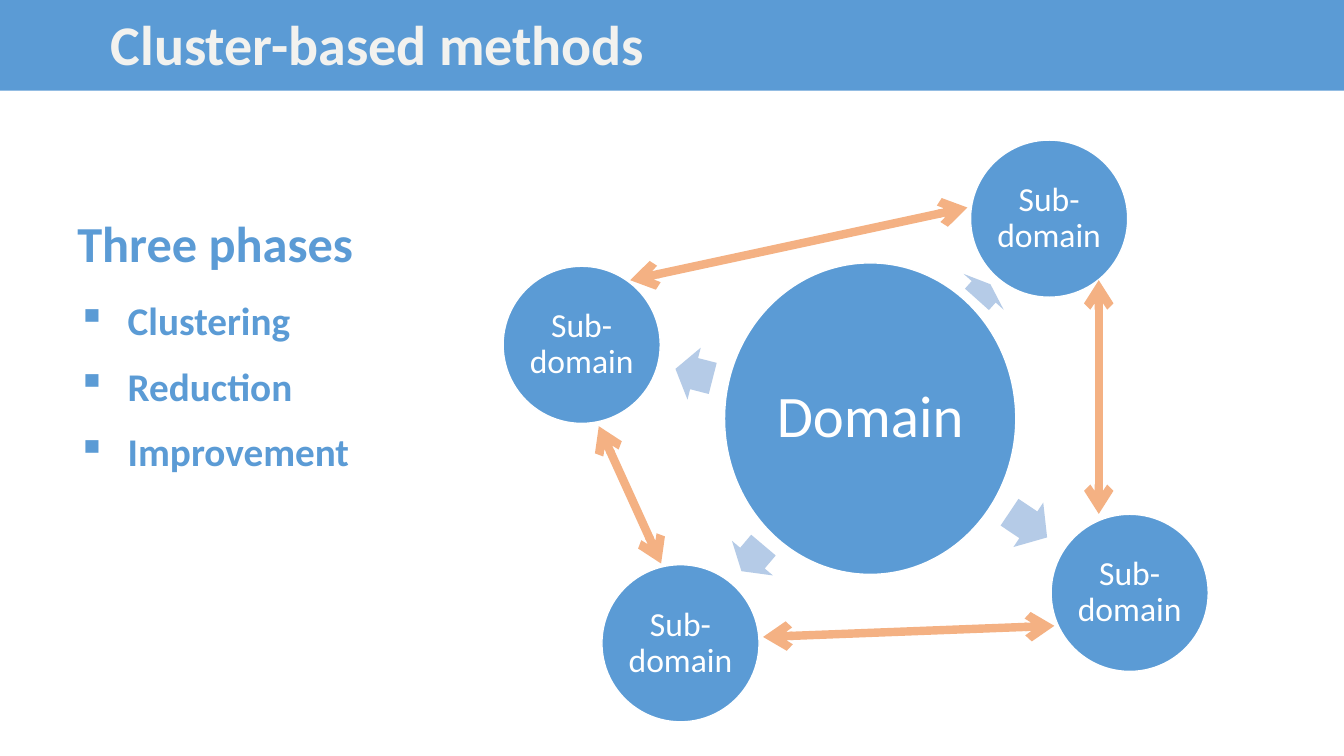
from math import atan2, cos, degrees, sin

from lxml.etree import SubElement
from pptx import Presentation
from pptx.dml.color import RGBColor
from pptx.enum.shapes import MSO_CONNECTOR as Line, MSO_SHAPE as Shape
from pptx.enum.text import MSO_ANCHOR as Anchor, PP_ALIGN as Align
from pptx.oxml.ns import qn
from pptx.util import Cm, Pt

# Content, lengths in centimetres
TITLE = "Cluster-based methods"
HEADING = "Three phases"
PHASES = ["Clustering", "Reduction", "Improvement"]
DOMAIN = {"text": "Domain", "center": (21.93, 10.55), "size": (7.34, 7.85)}
SUBDOMAIN_TEXT = "Sub-domain"
SUBDOMAIN_SIZE = (3.96, 3.96)
# Sub-domain centre, then its pointer's distance from the domain centre and length
SUBDOMAINS = [
    ((26.44, 5.51), 4.29, 0.51),
    ((28.47, 14.94), 4.80, 1.14),
    ((17.15, 16.21), 4.60, 0.86),
    ((14.66, 8.69), 4.58, 0.97),
]
POINTER_WIDTH = 1.35
EXCHANGES = [
    ((15.88, 7.06), (24.38, 5.23)),
    ((15.09, 10.74), (16.66, 14.20)),
    ((27.69, 7.06), (27.69, 12.95)),
    ((19.23, 16.05), (26.57, 15.77)),
]

THEME = {
    "font": "Calibri",
    "blue": RGBColor.from_string("5B9BD5"),
    "pale": RGBColor.from_string("B5CBE7"),
    "orange": RGBColor.from_string("F4B183"),
    "white": RGBColor.from_string("FFFFFF"),
    "title_text": RGBColor.from_string("F2F2EF"),
    "title": 40, "heading": 36, "phase": 28, "domain": 42, "subdomain": 24,
    "exchange": 6, "outline": 1,
}

prs = Presentation()
prs.slide_width, prs.slide_height = Cm(33.87), Cm(19.05)
slide = prs.slides.add_slide(prs.slide_layouts[6])


def write(holder, lines, size, color, bold=False, align=Align.LEFT, anchor=Anchor.TOP,
          inset=None, indent=0, bullet=None, gap=0, spacing=None, wrap=True):
    frame = holder.text_frame
    frame.word_wrap = wrap
    frame.vertical_anchor = anchor
    if inset is not None:
        frame.margin_left = frame.margin_right = Cm(inset)
        frame.margin_top = frame.margin_bottom = Cm(inset)
    for i, line in enumerate(lines):
        paragraph = frame.add_paragraph() if i else frame.paragraphs[0]
        properties = paragraph._p.get_or_add_pPr()
        if indent:
            properties.set("marL", str(Cm(indent)))
        if bullet:
            properties.set("indent", str(-Cm(indent)))
            SubElement(properties, qn("a:buChar"), char=bullet)
        paragraph.alignment = align
        if i and gap:
            paragraph.space_before = Pt(gap)
        if spacing:
            paragraph.line_spacing = spacing
        run = paragraph.add_run()
        run.text = line
        run.font.name = THEME["font"]
        run.font.size = Pt(size)
        run.font.bold = bold
        run.font.color.rgb = color


def add_solid(kind, center, size, fill, outline=None):
    (x, y), (width, height) = center, size
    solid = slide.shapes.add_shape(
        kind, Cm(x - width / 2), Cm(y - height / 2), Cm(width), Cm(height))
    solid.shadow.inherit = False
    solid.fill.solid()
    solid.fill.fore_color.rgb = fill
    if outline is None:
        solid.line.fill.background()
    else:
        solid.line.color.rgb = outline
        solid.line.width = Pt(THEME["outline"])
    return solid


def add_circle(text, center, size, type_size, inset):
    circle = add_solid(Shape.OVAL, center, size, THEME["blue"], THEME["white"])
    write(circle, [text], type_size, THEME["white"], align=Align.CENTER,
          anchor=Anchor.MIDDLE, inset=inset, spacing=0.9)


# Title band
band = add_solid(Shape.RIGHT_ARROW, (18.68, 1.09), (37.36, 4.78), THEME["blue"])
write(band, [TITLE], THEME["title"], THEME["title_text"], bold=True,
      anchor=Anchor.MIDDLE, indent=2.54)

# Domain, with a pointer towards each sub-domain
add_circle(DOMAIN["text"], DOMAIN["center"], DOMAIN["size"], THEME["domain"], 0.15)
domain_x, domain_y = DOMAIN["center"]
for center, distance, length in SUBDOMAINS:
    angle = atan2(center[1] - domain_y, center[0] - domain_x)
    middle = (domain_x + distance * cos(angle), domain_y + distance * sin(angle))
    pointer = add_solid(Shape.RIGHT_ARROW, middle, (length, POINTER_WIDTH), THEME["pale"])
    pointer.adjustments[0], pointer.adjustments[1] = 0.6, 0.5
    pointer.rotation = degrees(angle) % 360
    add_circle(SUBDOMAIN_TEXT, center, SUBDOMAIN_SIZE, THEME["subdomain"], 0.08)

# Two-way exchanges between neighbouring sub-domains
for start, end in EXCHANGES:
    exchange = slide.shapes.add_connector(Line.STRAIGHT, *map(Cm, start + end))
    exchange.line.color.rgb = THEME["orange"]
    exchange.line.width = Pt(THEME["exchange"])
    outline = exchange.line._get_or_add_ln()
    for tip in ("a:headEnd", "a:tailEnd"):
        SubElement(outline, qn(tip), type="arrow")
    SubElement(exchange._element.spPr, qn("a:effectLst"))

# Phases
heading = slide.shapes.add_textbox(Cm(1.7), Cm(5.23), Cm(7.54), Cm(1.8))
write(heading, [HEADING], THEME["heading"], THEME["blue"], bold=True, wrap=False)
phases = slide.shapes.add_textbox(Cm(1.7), Cm(7.34), Cm(7.82), Cm(4.8))
write(phases, PHASES, THEME["phase"], THEME["blue"], bold=True,
      indent=1.27, bullet="▪", gap=13.3)

prs.save("out.pptx")
